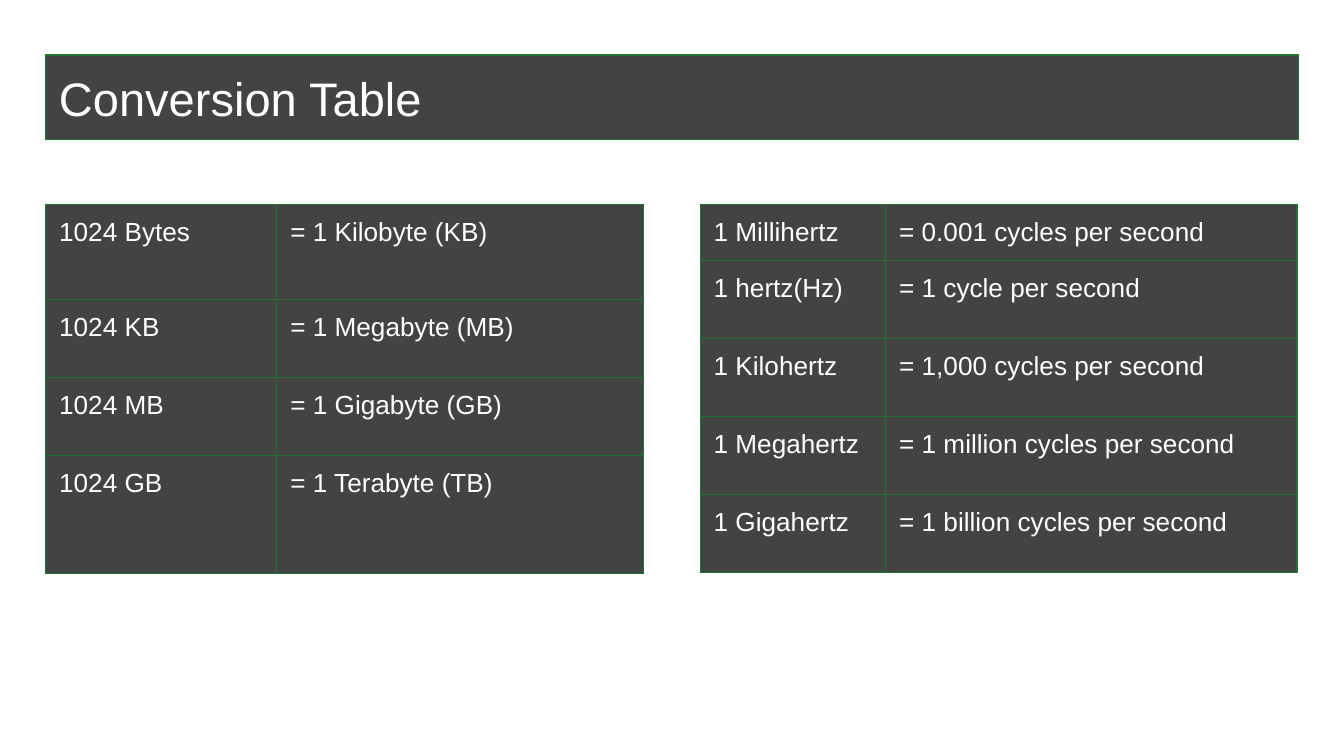
"""Build the Conversion Table slide with its storage and frequency tables."""
from lxml import etree
from pptx import Presentation
from pptx.dml.color import RGBColor
from pptx.enum.shapes import MSO_SHAPE
from pptx.enum.text import MSO_ANCHOR, PP_ALIGN
from pptx.oxml.ns import qn
from pptx.util import Inches, Pt

RECTANGLE = MSO_SHAPE.RECTANGLE
TOP, MIDDLE = MSO_ANCHOR.TOP, MSO_ANCHOR.MIDDLE
LEFT = PP_ALIGN.LEFT

TITLE = "Conversion Table"
STORAGE = [
    ("1024 Bytes", "= 1 Kilobyte (KB)"),
    ("1024 KB", "= 1 Megabyte (MB)"),
    ("1024 MB", "= 1 Gigabyte (GB)"),
    ("1024 GB", "= 1 Terabyte (TB)"),
]
FREQUENCY = [
    ("1 Millihertz", "= 0.001 cycles per second"),
    ("1 hertz(Hz)", "= 1 cycle per second"),
    ("1 Kilohertz", "= 1,000 cycles per second"),
    ("1 Megahertz", "= 1 million cycles per second"),
    ("1 Gigahertz", "= 1 billion cycles per second"),
]
CONVERSIONS = [
    {"rows": STORAGE, "left": 0.34, "widths": [1.72, 2.73],
     "heights": [0.71, 0.58, 0.58, 0.88]},
    {"rows": FREQUENCY, "left": 5.21, "widths": [1.38, 3.06],
     "heights": [0.42] + [0.58] * 4},
]
TABLE_TOP = 1.52
INSET = 0.1
FONT = "Arial"
PANEL, GREEN, WHITE = "434343", "207232", "FFFFFF"
BORDER = 0.75


def color(value):
    return RGBColor.from_string(value)


def paint(fill, value):
    fill.solid()
    fill.fore_color.rgb = color(value)


def write(frame, text, size, ink=WHITE):
    frame.word_wrap = True
    paragraph = frame.paragraphs[0]
    paragraph.alignment = LEFT
    run = paragraph.add_run()
    run.text = text
    run.font.name = FONT
    run.font.size = Pt(size)
    run.font.color.rgb = color(ink)


def set_insets(holder):
    holder.margin_left = holder.margin_right = Inches(INSET)
    holder.margin_top = holder.margin_bottom = Inches(INSET)


def add_borders(cell):
    properties = cell._tc.get_or_add_tcPr()
    for side in ("lnL", "lnR", "lnT", "lnB"):
        line = etree.SubElement(properties, qn(f"a:{side}"), w=str(Pt(BORDER)))
        fill = etree.SubElement(line, qn("a:solidFill"))
        etree.SubElement(fill, qn("a:srgbClr"), val=GREEN)


def add_title(slide):
    banner = slide.shapes.add_shape(
        RECTANGLE, Inches(0.34), Inches(0.41), Inches(9.32), Inches(0.63))
    banner.shadow.inherit = False
    paint(banner.fill, PANEL)
    banner.line.color.rgb = color(GREEN)
    banner.line.width = Pt(BORDER)
    set_insets(banner.text_frame)
    banner.text_frame.vertical_anchor = MIDDLE
    write(banner.text_frame, TITLE, size=25.2)


def add_conversions(slide, rows, left, widths, heights):
    table = slide.shapes.add_table(
        len(rows), len(widths), Inches(left), Inches(TABLE_TOP),
        Inches(sum(widths)), Inches(sum(heights))).table
    table.first_row = table.horz_banding = False
    for column, width in zip(table.columns, widths):
        column.width = Inches(width)
    for row, height, texts in zip(table.rows, heights, rows):
        row.height = Inches(height)
        for cell, text in zip(row.cells, texts):
            add_borders(cell)
            paint(cell.fill, PANEL)
            set_insets(cell)
            cell.vertical_anchor = TOP
            write(cell.text_frame, text, size=14)


def main():
    deck = Presentation()
    deck.slide_width = Inches(10)
    deck.slide_height = deck.slide_width * 9 // 16
    slide = deck.slides.add_slide(deck.slide_layouts[6])
    paint(slide.background.fill, WHITE)
    add_title(slide)
    for conversions in CONVERSIONS:
        add_conversions(slide, **conversions)
    deck.save("out.pptx")


if __name__ == "__main__":
    main()
